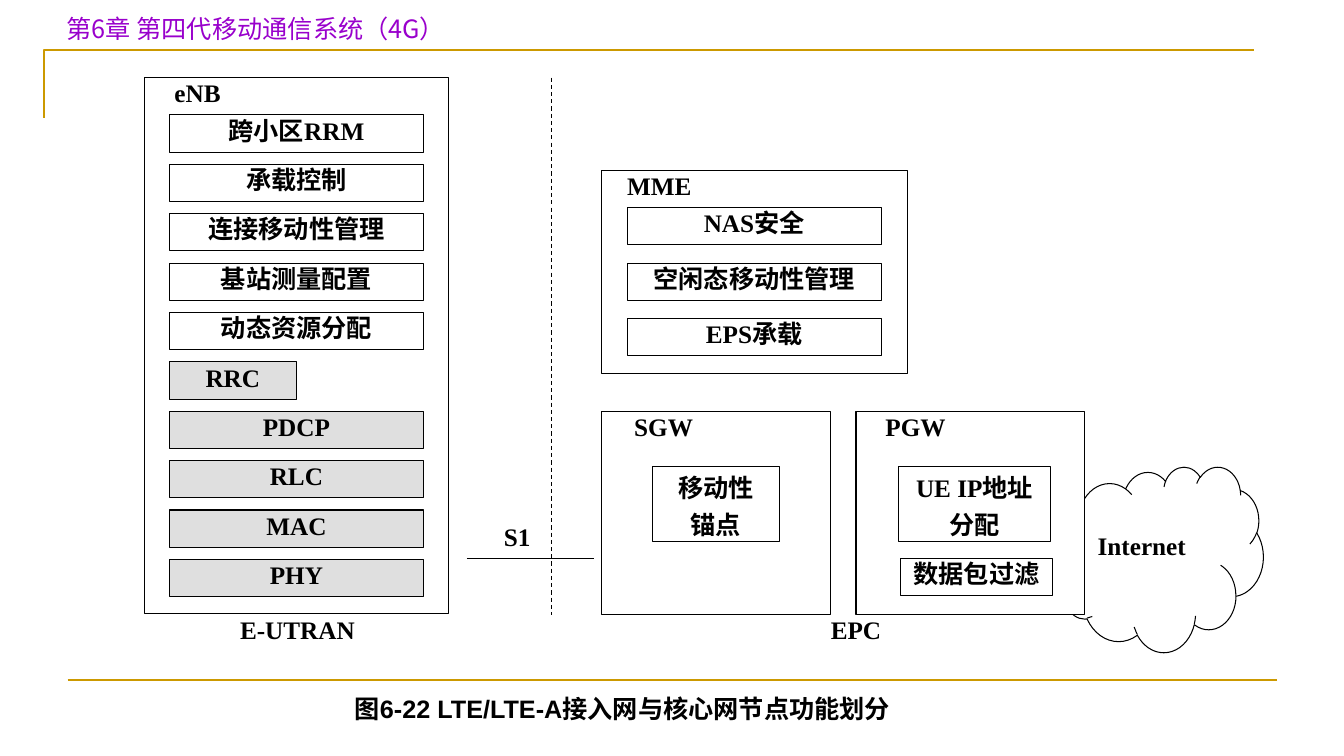
from dataclasses import dataclass

from lxml import etree
from pptx import Presentation
from pptx import util as u
from pptx.dml.color import RGBColor
from pptx.enum import dml, shapes, text
from pptx.oxml.ns import qn

ALIGN = text.PP_ALIGN
RECT = shapes.MSO_SHAPE.RECTANGLE
CLOUD = shapes.MSO_SHAPE.CLOUD_CALLOUT


@dataclass(frozen=True)
class Theme:
    ink: str = "000000"
    paper: str = "FFFFFF"
    layer: str = "C0C0C0"
    rule: str = "CC9900"
    heading: str = "9900CC"
    size: float = 18
    thin: float = 0.75
    thick: float = 1.5
    serif: str = "Times New Roman"
    sans: str = "Arial"
    cjk: str = "Noto Sans CJK JP"


class Diagram:
    def __init__(self, slide, theme):
        self.slide, self.theme = slide, theme

    def set_text(self, sp, words, font, align=ALIGN.CENTER, color=None, bold=True,
                 inset=(0, 0), spacing=None, anchor=text.MSO_ANCHOR.TOP):
        """Fill a shape with text; inset is (horizontal, vertical) in inches."""
        tf = sp.text_frame
        tf.text = words
        tf.word_wrap = True
        tf.vertical_anchor = anchor
        tf.margin_left = tf.margin_right = u.Inches(inset[0])
        tf.margin_top = tf.margin_bottom = u.Inches(inset[1])
        for p in tf.paragraphs:
            p.alignment = align
            p.space_before = u.Pt(0)
            if spacing:
                p.line_spacing = spacing
            for r in p.runs:
                r.font.name = font
                r.font.size = u.Pt(self.theme.size)
                r.font.bold = bold
                r.font.color.rgb = RGBColor.from_string(color or self.theme.ink)
                ea = etree.SubElement(r.font._element, qn("a:ea"))
                ea.set("typeface", self.theme.cjk)

    def title(self, words, *at):
        sp = self.slide.shapes.title
        sp.left, sp.top, sp.width, sp.height = map(u.Inches, at)
        self.set_text(sp, words, self.theme.cjk, ALIGN.LEFT, self.theme.heading,
                      False, (0.1, 0.05), anchor=text.MSO_ANCHOR.MIDDLE)

    def stroke(self, line, color, width):
        line.color.rgb = RGBColor.from_string(color)
        line.width = u.Pt(width)

    def box(self, *at, words="", fill=None, alpha=None, kind=RECT, **style):
        sp = self.slide.shapes.add_shape(kind, *map(u.Inches, at))
        sp.shadow.inherit = False
        self.stroke(sp.line, self.theme.ink, self.theme.thin)
        sp.fill.solid()
        sp.fill.fore_color.rgb = RGBColor.from_string(fill or self.theme.paper)
        if alpha:
            color = sp._element.spPr.find(qn("a:solidFill"))[0]
            etree.SubElement(color, qn("a:alpha")).set("val", str(alpha * 1000))
        if words:
            self.set_text(sp, words, self.theme.serif, **style)
        return sp

    def label(self, words, *at, font=None, **style):
        sp = self.slide.shapes.add_textbox(*map(u.Inches, at))
        self.set_text(sp, words, font or self.theme.serif, **style)

    def line(self, *ends, color=None, width=None, dash=None):
        cn = self.slide.shapes.add_connector(
            shapes.MSO_CONNECTOR.STRAIGHT, *map(u.Inches, ends))
        self.stroke(cn.line, color or self.theme.ink, width or self.theme.thin)
        if dash:
            cn.line.dash_style = dash
        etree.SubElement(cn._element.spPr, qn("a:effectLst"))

    def corner_rule(self, left, top, right, bottom):
        pen = self.slide.shapes.build_freeform(u.Inches(left), u.Inches(bottom))
        pen.add_line_segments([(u.Inches(left), u.Inches(top)),
                               (u.Inches(right), u.Inches(top))], close=False)
        sp = pen.convert_to_shape()
        sp.shadow.inherit = False
        sp.fill.background()
        self.stroke(sp.line, self.theme.rule, self.theme.thick)


def draw_enb(d):
    d.box(1.43, 0.77, 3.02, 5.32)
    d.label("eNB", 1.73, 0.77, 1.28, 0.37, align=ALIGN.LEFT)
    functions = ["跨小区RRM", "承载控制", "连接移动性管理", "基站测量配置", "动态资源分配"]
    layers = ["RRC", "PDCP", "RLC", "MAC", "PHY"]
    for i, words in enumerate(functions + layers):
        is_layer = words in layers
        d.box(1.68, 1.14 + 0.49 * i, 1.26 if words == "RRC" else 2.52, 0.37,
              words=words, fill=d.theme.layer if is_layer else None,
              alpha=50 if is_layer else None)
    d.label("E-UTRAN", 1.94, 6.09, 2.02, 0.37)


def draw_s1(d):
    d.line(5.47, 0.77, 5.47, 6.1, dash=dml.MSO_LINE.DASH)
    d.line(4.63, 5.54, 5.89, 5.54)
    d.label("S1", 4.12, 5.17, 2.02, 0.37)


def draw_epc(d):
    d.box(5.97, 1.69, 3.03, 2.02)
    d.label("MME", 6.22, 1.69, 2.02, 0.37, align=ALIGN.LEFT)
    for i, words in enumerate(["NAS安全", "空闲态移动性管理", "EPS承载"]):
        d.box(6.22, 2.06 + 0.55 * i, 2.52, 0.37, words=words)

    d.box(5.97, 4.08, 2.27, 2.02)
    d.label("SGW", 6.29, 4.08, 1.9, 0.37, align=ALIGN.LEFT)
    d.box(6.47, 4.63, 1.26, 0.74, words="移动性\n锚点", spacing=1.2)

    cloud = d.box(10.51, 4.63, 2.02, 1.84, words="Internet", kind=CLOUD,
                  align=ALIGN.LEFT, inset=(0.1, 0.35))
    cloud.adjustments[0], cloud.adjustments[1] = -0.42, -0.03

    d.box(8.49, 4.08, 2.27, 2.02)
    d.label("PGW", 8.07, 4.08, 2.02, 0.37)
    d.box(8.91, 4.63, 1.51, 0.74, words="UE IP地址\n分配", spacing=1.2)
    d.box(8.93, 5.54, 1.51, 0.37, words="数据包过滤")
    d.label("EPC", 7.48, 6.09, 2.02, 0.37)


def main():
    prs = Presentation()
    prs.slide_width, prs.slide_height = u.Inches(13.33), u.Inches(7.5)
    theme = Theme()
    d = Diagram(prs.slides.add_slide(prs.slide_layouts[5]), theme)
    d.corner_rule(0.44, 0.5, 12.44, 1.17)
    d.line(0.67, 6.75, 12.67, 6.75, color=theme.rule, width=theme.thick)
    d.title("第6章 第四代移动通信系统（4G）", 0.56, 0.08, 5.78, 0.4)
    draw_enb(d)
    draw_s1(d)
    draw_epc(d)
    d.label("图6-22 LTE/LTE-A接入网与核心网节点功能划分", 3.42, 6.83, 5.92, 0.4,
            font=theme.sans, align=ALIGN.LEFT, inset=(0.1, 0.05),
            anchor=text.MSO_ANCHOR.MIDDLE)
    prs.save("out.pptx")


if __name__ == "__main__":
    main()
